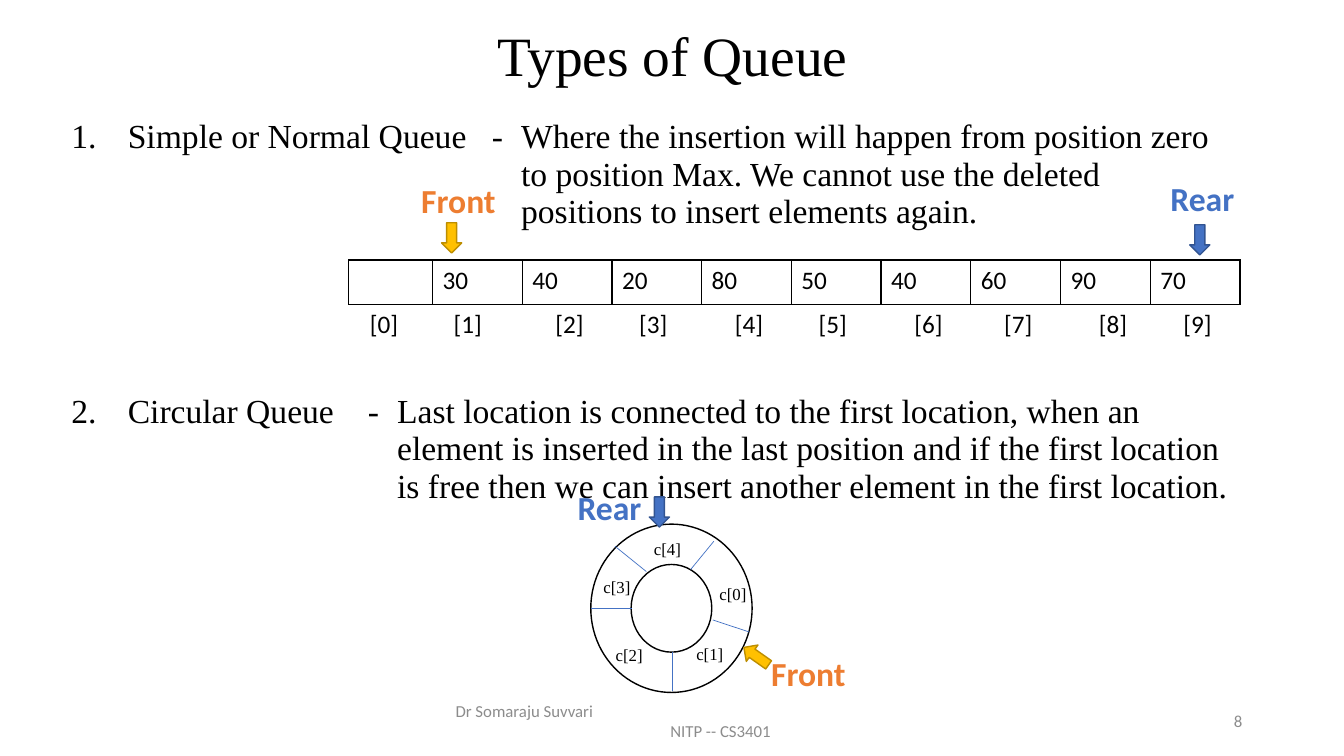
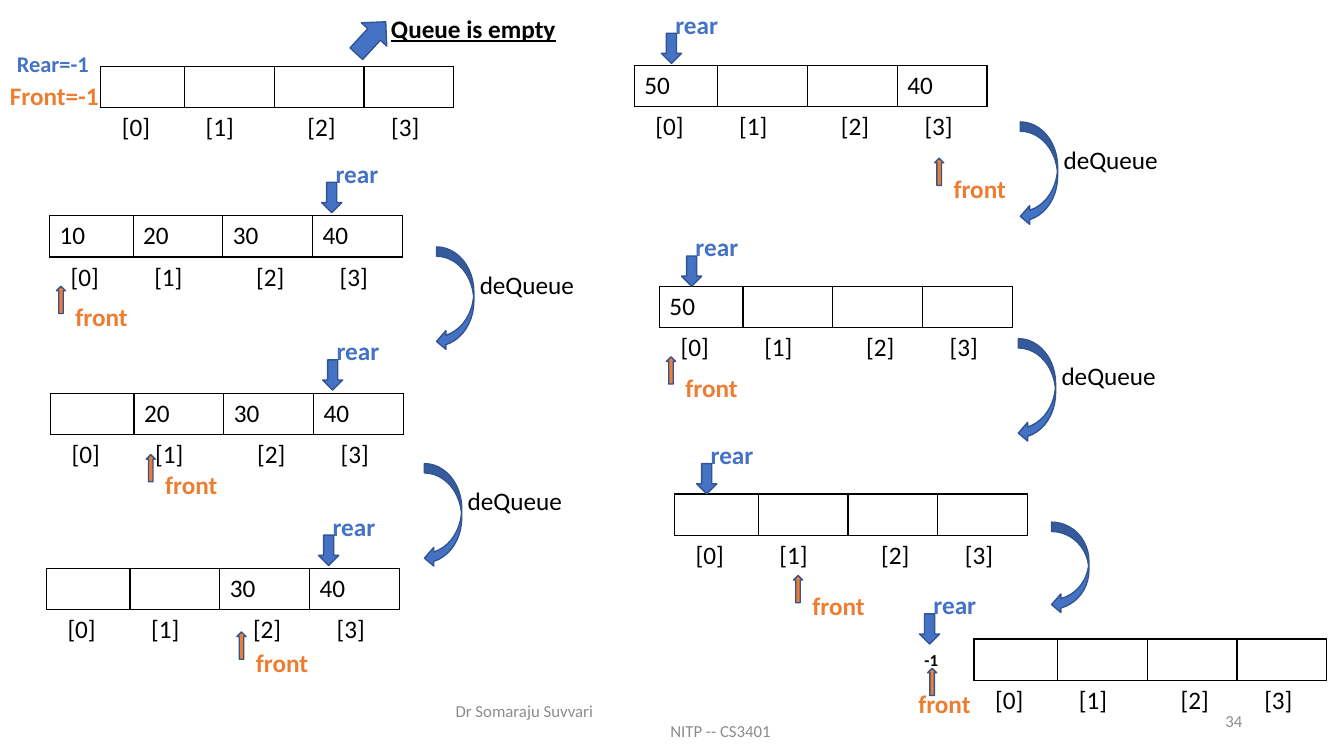
from dataclasses import dataclass

from lxml import etree
from pptx import Presentation
from pptx.dml.color import RGBColor
from pptx.enum.shapes import MSO_CONNECTOR, MSO_SHAPE
from pptx.enum.text import MSO_ANCHOR, PP_ALIGN
from pptx.oxml.ns import qn
from pptx.util import Inches, Pt

DOWN, UP = MSO_SHAPE.DOWN_ARROW, MSO_SHAPE.UP_ARROW
CURVED, DONUT = MSO_SHAPE.CURVED_LEFT_ARROW, MSO_SHAPE.DONUT
STRAIGHT = MSO_CONNECTOR.STRAIGHT
LEFT, CENTER, RIGHT = PP_ALIGN.LEFT, PP_ALIGN.CENTER, PP_ALIGN.RIGHT
TOP, MIDDLE = MSO_ANCHOR.TOP, MSO_ANCHOR.MIDDLE


@dataclass(frozen=True)
class Theme:
    """Colours, fonts and type sizes shared by the slides."""
    black: str = "000000"
    white: str = "FFFFFF"
    grey: str = "8C8C8C"
    rear: str = "4472C4"
    rear_edge: str = "325491"
    front: str = "ED7D31"
    gold: str = "FFC000"
    gold_edge: str = "BD8E00"
    sans: str = "Calibri"
    serif: str = "Times New Roman"
    title: float = 39.6
    body: int = 24
    label: int = 18
    note: int = 16
    small: int = 12


T = Theme()
FIRST_COL, COL, INDEX_ROW = 0.83, 0.89, 0.41
INDEX_INSETS = (0.21, 0.21, 0.33, 0.27, 0.33, 0.27, 0.33, 0.33, 0.38, 0.33)


def rgb(color):
    """Turn a hex string into a colour."""
    return RGBColor.from_string(color)


def write(p, text, size=T.label, color=T.black, font=T.sans, bold=False,
          underline=False, align=LEFT, spacing=None):
    """Put one formatted run into a paragraph."""
    p.alignment = align
    if spacing:
        p.line_spacing = spacing
    r = p.add_run()
    r.text = text
    r.font.size, r.font.name = Pt(size), font
    r.font.bold, r.font.underline = bold, underline
    r.font.color.rgb = rgb(color)


def add_text(s, box, lines, anchor=TOP, indents=(), **fmt):
    """Add a text box with one paragraph per line; return its paragraphs."""
    tf = s.shapes.add_textbox(*map(Inches, box)).text_frame
    tf.word_wrap = True
    tf.vertical_anchor = anchor
    lines = [lines] if isinstance(lines, str) else lines
    for i, line in enumerate(lines):
        p = tf.add_paragraph() if i else tf.paragraphs[0]
        write(p, line, **fmt)
        if indents:
            set_indent(p, indents[i])
    return tf.paragraphs


def set_indent(p, left, hanging=0):
    """Set the left margin and hanging indent of a paragraph."""
    pPr = p._p.get_or_add_pPr()
    pPr.set("marL", str(Inches(left)))
    pPr.set("indent", str(-Inches(hanging)))
    return pPr


def add_shape(s, kind, box, fill=T.rear, edge=T.rear_edge, rotation=0):
    """Add a filled and outlined preset shape."""
    sp = s.shapes.add_shape(kind, *map(Inches, box))
    sp.shadow.inherit = False
    sp.fill.solid()
    sp.fill.fore_color.rgb = rgb(fill)
    sp.line.color.rgb = rgb(edge)
    sp.line.width = Pt(1)
    sp.rotation = rotation


def add_line(s, start, end):
    """Add a thin straight line."""
    line = s.shapes.add_connector(STRAIGHT, *map(Inches, (*start, *end)))
    line.line.color.rgb = rgb(T.rear)
    line.line.width = Pt(0.5)
    etree.SubElement(line._element.spPr, qn("a:effectLst"))


def set_borders(cell, visible):
    """Draw the named cell edges in black and hide the others."""
    tcPr = cell._tc.get_or_add_tcPr()
    for i, side in enumerate("LRTB"):
        ln = etree.Element(qn(f"a:ln{side}"), w=str(Pt(1)))
        if side in visible:
            fill = etree.SubElement(ln, qn("a:solidFill"))
            etree.SubElement(fill, qn("a:srgbClr"), val=T.black)
        else:
            etree.SubElement(ln, qn("a:noFill"))
        tcPr.insert(i, ln)


def queue_table(s, x, y, values, row_height=INDEX_ROW):
    """Draw queue cells with their index numbers below."""
    n = len(values)
    width = FIRST_COL + COL * (n - 1)
    frame = s.shapes.add_table(2, n, Inches(x), Inches(y), Inches(width),
                               Inches(row_height + INDEX_ROW))
    table = frame.table
    table.first_row = table.horz_banding = False
    table.rows[0].height = Inches(row_height)
    table.rows[1].height = Inches(INDEX_ROW)
    for i, value in enumerate(values):
        table.columns[i].width = Inches(COL if i else FIRST_COL)
        slot, index = table.cell(0, i), table.cell(1, i)
        index.margin_left = Inches(INDEX_INSETS[i])
        index.margin_right = 0
        for cell, text, edges in ((slot, value, "LRTB"), (index, f"[{i}]", "T")):
            cell.fill.background()
            set_borders(cell, edges)
            if text:
                write(cell.text_frame.paragraphs[0], text)


def footer(s, number):
    """Place the author, course and page number."""
    add_text(s, (4.42, 6.95, 4.5, 0.4), ["Dr Somaraju Suvvari", "NITP -- CS3401"],
             anchor=MIDDLE, indents=(0, 2.13), size=T.small, color=T.grey)
    add_text(s, (9.42, 6.95, 3, 0.4), str(number), anchor=MIDDLE,
             size=T.small, color=T.grey, align=RIGHT)


def numbered_item(s, y, number, name, dash_x, lines):
    """Place a numbered name with its dashed description to the right."""
    fmt = dict(size=T.body, font=T.serif, spacing=0.93)
    p, = add_text(s, (0.61, y, dash_x - 0.61, 0.45), name, **fmt)
    pPr = set_indent(p, 0.56, 0.56)
    etree.SubElement(pPr, qn("a:buFont"), typeface="+mj-lt")
    etree.SubElement(pPr, qn("a:buAutoNum"), type="arabicPeriod",
                     startAt=str(number))
    p, = add_text(s, (dash_x - 0.1, y, 12.9 - dash_x, 1.2),
                  "-\t" + "\v".join(lines[:1]), **fmt)
    set_indent(p, 0.29, 0.29)
    for line in lines[1:]:
        p.add_line_break()
        write(p, line, **fmt)


def pointer(s, text, color, label_at, arrow_at, fill, edge, rotation=0):
    """Place a large pointer name and its block arrow."""
    add_text(s, (*label_at, 0.96, 0.5), text, size=T.body, color=color, bold=True)
    add_shape(s, DOWN, (*arrow_at, 0.2, 0.3), fill, edge, rotation)


def rear_pointer(s, label_at, arrow_at):
    """Place a large rear pointer."""
    pointer(s, "Rear", T.rear, label_at, arrow_at, T.rear, T.rear_edge)


def front_pointer(s, label_at, arrow_at, rotation=0):
    """Place a large front pointer."""
    pointer(s, "Front", T.front, label_at, arrow_at, T.gold, T.gold_edge, rotation)


def ring(s, x, y):
    """Draw the circular queue with dividers and cell names."""
    add_shape(s, DONUT, (x, y, 1.6, 1.67), T.white, T.black)
    dividers = (((1.21, 0.95), (1.57, 1.07)), ((0.99, 0.45), (1.22, 0.17)),
                ((0, 0.84), (0.41, 0.84)), ((0.24, 0.22), (0.55, 0.47)),
                ((0.81, 1.66), (0.81, 1.27)))
    for (x1, y1), (x2, y2) in dividers:
        add_line(s, (x + x1, y + y1), (x + x2, y + y2))
    centres = ((1.41, 0.69), (1.18, 1.29), (0.38, 1.3), (0.26, 0.62), (0.76, 0.24))
    for i, (cx, cy) in enumerate(centres):
        add_text(s, (x + cx - 0.27, y + cy - 0.2, 0.54, 0.4), f"c[{i}]",
                 anchor=MIDDLE, size=T.small, font=T.serif, align=CENTER)


def types_slide(s):
    """Build the slide on simple and circular queues."""
    add_text(s, (0.92, 0.4, 11.5, 0.37), "Types of Queue", anchor=MIDDLE,
             size=T.title, font=T.serif, align=CENTER, spacing=0.9)
    numbered_item(s, 1.13, 1, "Simple or Normal Queue", 4.88, (
        "Where the insertion will happen from position zero",
        "to position Max. We cannot use the deleted",
        "positions to insert elements again."))
    numbered_item(s, 3.85, 2, "Circular Queue", 3.65, (
        "Last location is connected to the first location, when an",
        "element is inserted in the last position and if the first location",
        "is free then we can insert another element in the first location."))
    values = ("", "30", "40", "20", "80", "50", "40", "60", "90", "70")
    queue_table(s, 3.46, 2.58, values, 0.44)
    rear_pointer(s, (11.51, 1.72), (11.8, 2.23))
    front_pointer(s, (4.08, 1.74), (4.38, 2.21))
    ring(s, 5.86, 5.2)
    rear_pointer(s, (5.63, 4.78), (6.44, 4.93))
    front_pointer(s, (7.55, 6.43), (7.4, 6.36), 125.2)
    footer(s, 8)


def queue_state(s, x, y, values, rear, front, front_label=(0.09, 0.1)):
    """Draw a queue with rear and front arrows offset from its corner."""
    queue_table(s, x, y, values)
    rx, ry = x + rear[0], y + rear[1]
    fx, fy = x + front[0], y + front[1]
    dx, dy = front_label
    add_text(s, (rx + 0.04, ry - 0.29, 0.96, 0.4), "rear", color=T.rear, bold=True)
    add_text(s, (fx + dx, fy + dy, 1.11, 0.4), "front", color=T.front, bold=True)
    add_shape(s, UP, (fx, fy, 0.09, 0.27), T.front)
    add_shape(s, DOWN, (rx, ry, 0.2, 0.3))


def dequeue_step(s, x, y, height=1.03, text="deQueue"):
    """Draw a curved arrow with an optional operation name."""
    add_shape(s, CURVED, (x, y, 0.37, height))
    if text:
        add_text(s, (x + 0.33, y + 0.17, 1.29, 0.4), text)


def empty_queue(s, x, y):
    """Draw the empty starting queue and its notes."""
    queue_table(s, x, y, [""] * 4)
    add_text(s, (x - 0.93, y - 0.21, 0.96, 0.37), "Rear=-1", size=T.note,
             color=T.rear, bold=True)
    add_text(s, (x - 1, y + 0.09, 1.11, 0.4), "Front=-1", color=T.front, bold=True)
    add_text(s, (x + 2.78, y - 0.58, 1.84, 0.4), "Queue is empty",
             bold=True, underline=True)
    add_shape(s, UP, (x + 2.51, y - 0.5, 0.34, 0.43), rotation=42.6)


def dequeue_slide(s):
    """Build the slide that empties a circular queue step by step."""
    empty_queue(s, 1, 0.66)
    states = (
        (0.49, 2.14, ("10", "20", "30", "40"), (2.7, -0.33), (0.07, 0.7)),
        (0.5, 3.9, ("", "20", "30", "40"), (2.7, -0.33), (0.95, 0.61)),
        (0.46, 5.64, ("", "", "30", "40"), (2.7, -0.33), (1.89, 0.63)),
        (6.29, 0.65, ("50", "", "", "40"), (0.27, -0.32), (2.98, 0.92)),
        (6.54, 2.84, ("50", "", "", ""), (0.22, -0.3), (0.07, 0.7)),
        (6.69, 4.9, ("", "", "", ""), (0.22, -0.3), (1.18, 0.81)),
        (9.66, 6.34, ("", "", "", ""), (-0.54, -0.25), (-0.46, 0.29), (-0.19, 0.15)),
    )
    for state in states:
        queue_state(s, *state)
    add_text(s, (9.07, 6.4, 0.4, 0.3), "-1", size=T.small, bold=True)
    for x, y in ((4.33, 2.45), (4.21, 4.6), (10.12, 1.21), (10.1, 3.36)):
        dequeue_step(s, x, y)
    dequeue_step(s, 10.43, 5.18, 0.91, "")
    footer(s, 34)


def main():
    """Build and save the presentation."""
    prs = Presentation()
    prs.slide_width, prs.slide_height = Inches(13.33), Inches(7.5)
    for build in (types_slide, dequeue_slide):
        build(prs.slides.add_slide(prs.slide_layouts[6]))
    prs.save("out.pptx")


main()
